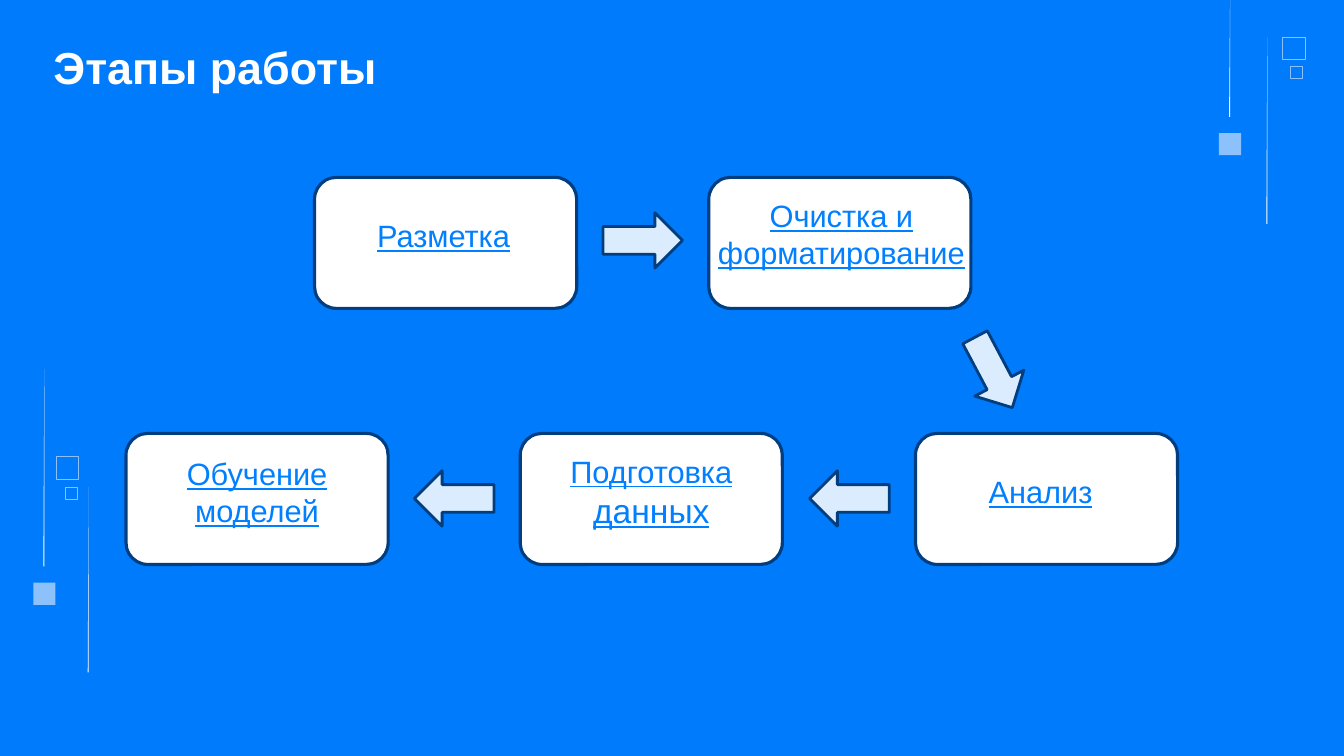
import pptx
import pptx.dml.color
import pptx.enum.shapes
import pptx.enum.text
import pptx.util
from pptx.util import Inches

COLORS = {
    "background": "007BFC",
    "white": "FFFFFF",
    "off_white": "FEFFFE",
    "navy": "003E80",
    "label": "007FFF",
    "arrow": "DBECFE",
    "pale_blue": "8DC1FC",
}
SHAPES = pptx.enum.shapes.MSO_SHAPE


def rgb(name):
    return pptx.dml.color.RGBColor.from_string(COLORS[name])


def style(shape, fill=None, line=None, width=0):
    """Set fill and outline; a missing colour means none."""
    shape.shadow.inherit = False
    if fill:
        shape.fill.solid()
        shape.fill.fore_color.rgb = rgb(fill)
    else:
        shape.fill.background()
    if line:
        shape.line.color.rgb = rgb(line)
        shape.line.width = pptx.util.Pt(width)
    else:
        shape.line.fill.background()


deck = pptx.Presentation()
deck.slide_width = Inches(13.33)
deck.slide_height = Inches(7.5)
page = deck.slides.add_slide(deck.slide_layouts[6])
page.background.fill.solid()
page.background.fill.fore_color.rgb = rgb("background")

# Title
title = page.shapes.add_textbox(Inches(0.53), Inches(0.45), Inches(3.32), Inches(0.7))
frame = title.text_frame
frame.word_wrap = True
frame.margin_left = frame.margin_top = frame.margin_right = frame.margin_bottom = 0
frame.text = "Этапы работы"
para = frame.paragraphs[0]
para.line_spacing = 0.9
para.font.name = "Arial"
para.font.size = pptx.util.Pt(32)
para.font.bold = True
para.font.color.rgb = rgb("off_white")

# Stages: card position, label frame, label runs with sizes
stages = [
    ((3.12, 1.76), (3.48, 2.04, 1.84, 0.59), [("Разметка", 22)]),
    ((7.03, 1.76), (7.02, 1.84, 2.65, 0.96), [("Очистка и форматирование", 22)]),
    ((9.08, 4.3), (9.4, 4.58, 1.84, 0.59), [("Анализ", 22)]),
    ((5.16, 4.3), (5.49, 4.34, 1.94, 1.04), [("Подготовка", 22), (" данных", 24)]),
    ((1.25, 4.3), (1.58, 4.4, 1.94, 0.96), [("Обучение моделей", 22)]),
]
for (left, top), label_frame, runs in stages:
    card = page.shapes.add_shape(
        SHAPES.ROUNDED_RECTANGLE, Inches(left), Inches(top), Inches(2.6), Inches(1.3))
    style(card, "white", "navy", 2.25)

    label = page.shapes.add_textbox(*[Inches(value) for value in label_frame])
    frame = label.text_frame
    frame.word_wrap = True
    frame.vertical_anchor = pptx.enum.text.MSO_ANCHOR.MIDDLE
    frame.margin_left = frame.margin_right = Inches(0.06)
    frame.margin_top = frame.margin_bottom = Inches(0.06)
    para = frame.paragraphs[0]
    para.alignment = pptx.enum.text.PP_ALIGN.CENTER
    for words, size in runs:
        span = para.add_run()
        span.text = words
        span.font.name = "Arial"
        span.font.size = pptx.util.Pt(size)
        span.font.underline = True
        span.font.color.rgb = rgb("label")

# Arrows between stages
for left, top, angle in [(5.98, 2.11, 0), (9.46, 3.42, 62.1), (8.03, 4.67, 180), (4.11, 4.67, 180)]:
    arrow = page.shapes.add_shape(
        SHAPES.RIGHT_ARROW, Inches(left), Inches(top), Inches(0.79), Inches(0.55))
    arrow.rotation = angle
    style(arrow, "arrow", "navy", 2)

# Thin tapering rays in the corners
for left, top, bottom in [(12.56, 0.37, 2.22), (0.87, 4.83, 6.67), (12.19, 0, 1.16), (0.43, 3.66, 5.62)]:
    right = left + 0.01
    builder = page.shapes.build_freeform(Inches(right), Inches(top), scale=1.0)
    builder.add_line_segments(
        [(Inches(left), Inches(bottom)), (Inches(right), Inches(bottom))], close=True)
    style(builder.convert_to_shape(), "off_white")

# Corner squares: left, top, side, filled
squares = [
    (12.09, 1.32, 0.22, True),
    (0.33, 5.78, 0.22, True),
    (12.72, 0.37, 0.22, False),
    (12.8, 0.66, 0.12, False),
    (0.56, 4.53, 0.22, False),
    (0.65, 4.83, 0.12, False),
]
for left, top, side, filled in squares:
    square = page.shapes.add_shape(
        SHAPES.RECTANGLE, Inches(left), Inches(top), Inches(side), Inches(side))
    if filled:
        style(square, fill="pale_blue")
    else:
        style(square, line="pale_blue", width=0.23)

deck.save("out.pptx")
